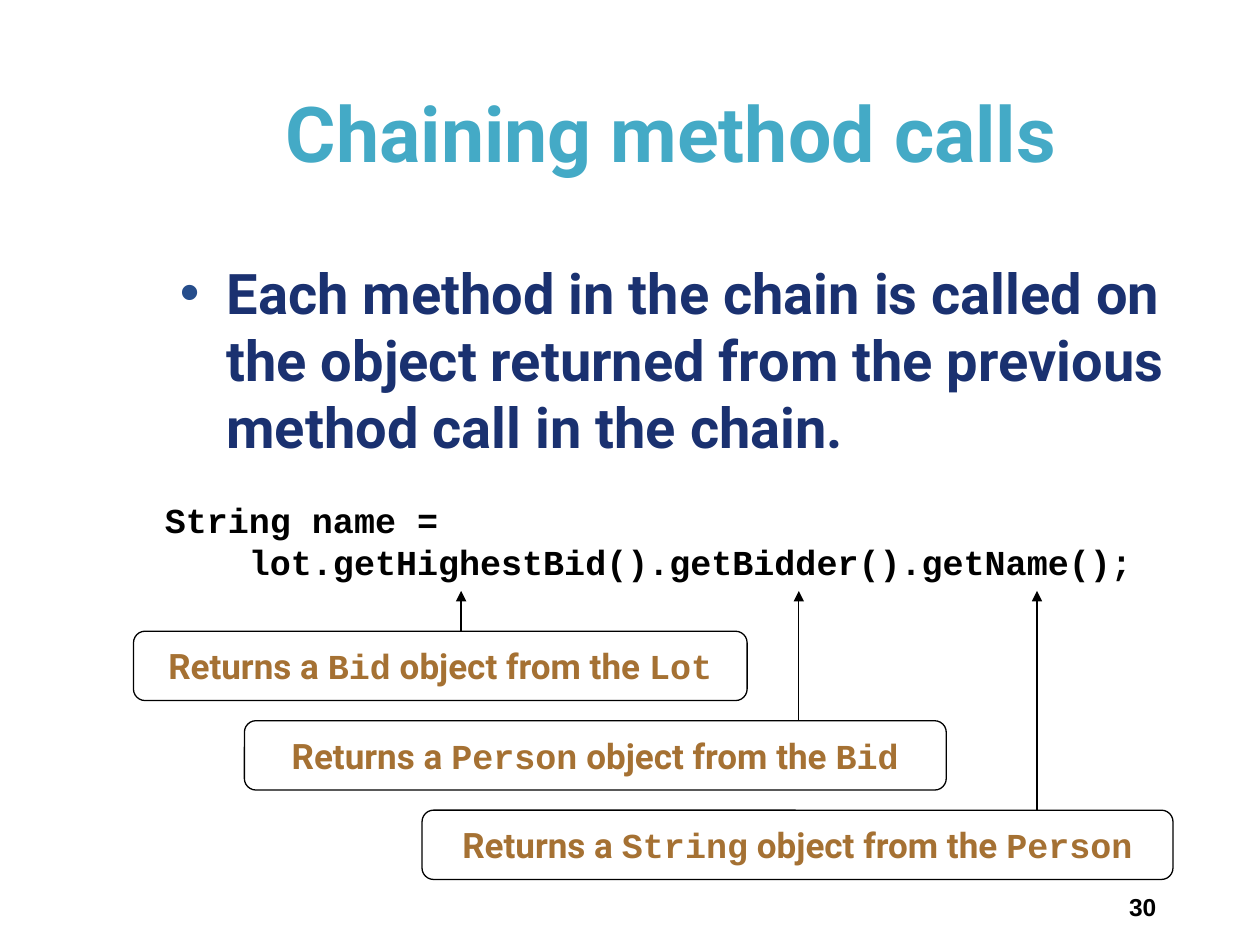
from lxml import etree
from pptx import Presentation
from pptx.dml.color import RGBColor
from pptx.enum.shapes import MSO_CONNECTOR, MSO_SHAPE
from pptx.enum.text import MSO_ANCHOR, PP_ALIGN
from pptx.oxml.ns import qn
from pptx.util import Inches, Pt

STRAIGHT = MSO_CONNECTOR.STRAIGHT
ROUNDED = MSO_SHAPE.ROUNDED_RECTANGLE
MIDDLE = MSO_ANCHOR.MIDDLE
CENTER, LEFT, RIGHT = PP_ALIGN.CENTER, PP_ALIGN.LEFT, PP_ALIGN.RIGHT

THEME = {
    "title": ("Roboto", 44, "44AAC6"),
    "body": ("Roboto", 32, "1A3170"),
    "code": ("Courier New", 20, "000000"),
    "callout": ("Roboto", 20, "A57133"),
    "number": ("Arial", 14, "000000"),
    "bullet": "264D8B",
    "line": "000000",
}

deck = Presentation()
deck.slide_width, deck.slide_height = Inches(10), Inches(7.5)
page = deck.slides.add_slide(deck.slide_layouts[5])
COLUMN = deck.slide_width / 100
ROW = deck.slide_height / 75


def grid(left, top, width, height):
    return [int(left * COLUMN), int(top * ROW), int(width * COLUMN), int(height * ROW)]


def style(para, role, align):
    name, size, color = THEME[role]
    para.alignment = align
    para.font.name = name
    para.font.size = Pt(size)
    para.font.bold = True
    para.font.color.rgb = RGBColor.from_string(color)


title = page.shapes.title
title.left, title.top, title.width, title.height = grid(10.8, 4.2, 85, 12.5)
title.text_frame.text = "Chaining method calls"
title.text_frame.vertical_anchor = MIDDLE
style(title.text_frame.paragraphs[0], "title", CENTER)

body = page.shapes.add_textbox(*grid(13.3, 20, 81.7, 46.7)).text_frame
body.word_wrap = True
para = body.paragraphs[0]
para.text = ("Each method in the chain is called on the object returned "
             "from the previous method call in the chain.")
properties = para._p.get_or_add_pPr()
properties.set("marL", str(Inches(0.37)))
properties.set("indent", str(-Inches(0.37)))
bullet_color = etree.SubElement(properties, qn("a:buClr"))
etree.SubElement(bullet_color, qn("a:srgbClr"), val=THEME["bullet"])
etree.SubElement(properties, qn("a:buFont"), typeface="Arial")
etree.SubElement(properties, qn("a:buChar"), char="•")
style(para, "body", LEFT)

code = page.shapes.add_textbox(*grid(12.1, 39.1, 78.8, 7.7)).text_frame
code.word_wrap = False
para = code.paragraphs[0]
para.add_run().text = "String name ="
para.add_line_break()
para.add_run().text = "    lot.getHighestBid().getBidder().getName();"
style(para, "code", LEFT)

number = page.shapes.add_textbox(*grid(87.5, 70.3, 5.8, 3.3)).text_frame
number.word_wrap = True
number.text = "30 "
style(number.paragraphs[0], "number", RIGHT)

CALLOUT_TOP, CALLOUT_STEP, CALLOUT_HEIGHT, ARROW_TIP = 50.1, 7.1, 5.5, 46.9
callouts = [
    (10.6, 48.7, 36.6, "Bid", "Lot"),
    (19.4, 55.7, 63.4, "Person", "Bid"),
    (33.5, 59.6, 82.3, "String", "Person"),
]
for index, (left, width, arrow_column, result, source) in enumerate(callouts):
    top = CALLOUT_TOP + index * CALLOUT_STEP
    box = page.shapes.add_shape(ROUNDED, *grid(left, top, width, CALLOUT_HEIGHT))
    box.shadow.inherit = False
    box.fill.background()
    box.line.color.rgb = RGBColor.from_string(THEME["line"])
    box.line.width = Pt(0.75)
    box.text_frame.word_wrap = True
    box.text_frame.vertical_anchor = MIDDLE
    para = box.text_frame.paragraphs[0]
    style(para, "callout", CENTER)
    for words, role in [("Returns a ", "callout"), (result, "code"),
                        (" object from the ", "callout"), (source, "code")]:
        span = para.add_run()
        span.text = words
        span.font.name = THEME[role][0]

    x, start, x_end, tip = grid(arrow_column, top, arrow_column, ARROW_TIP)
    arrow = page.shapes.add_connector(STRAIGHT, x, start, x_end, tip)
    arrow.line.color.rgb = RGBColor.from_string(THEME["line"])
    arrow.line.width = Pt(0.75)
    etree.SubElement(arrow.line._get_or_add_ln(), qn("a:tailEnd"), type="triangle")
    etree.SubElement(arrow._element.spPr, qn("a:effectLst"))

deck.save("out.pptx")
